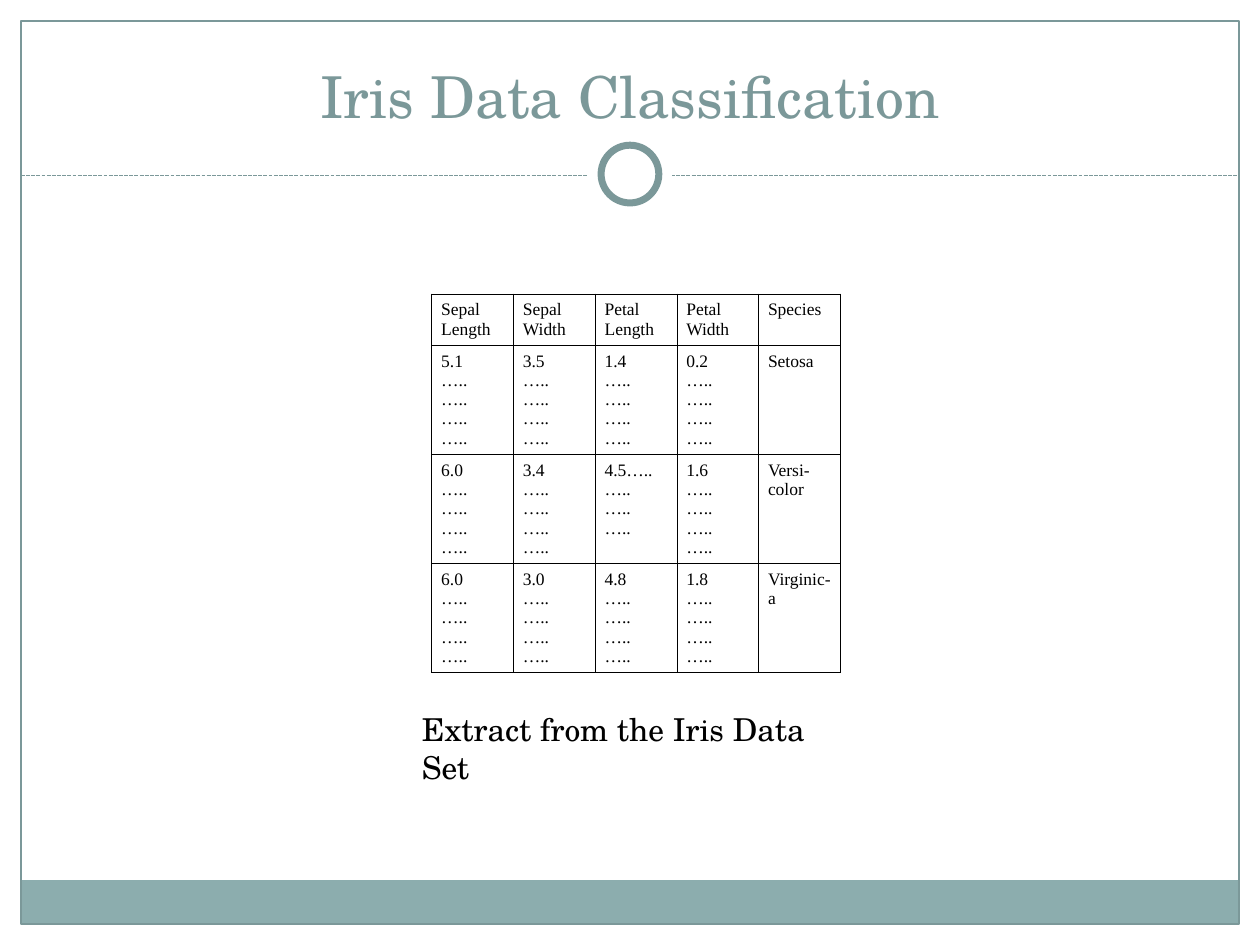
from typing import NamedTuple, Optional

from lxml import etree
from pptx import Presentation
from pptx import util as u
from pptx.dml.color import RGBColor
from pptx.enum import dml, shapes, text
from pptx.oxml import ns

Pt = u.Pt
TEAL, BAND, WHITE, BLACK = "7B9899", "8CADAE", "FFFFFF", "000000"
SERIF, TABLE_FONT = "TeX Gyre Schola", "Times New Roman"
RECT, OVAL = shapes.MSO_SHAPE.RECTANGLE, shapes.MSO_SHAPE.OVAL
DOTS = "….."


class Box(NamedTuple):
    left: float
    top: float
    width: float
    height: float

    def lengths(self):
        return [Pt(v) for v in self]


class Panel(NamedTuple):
    kind: int
    box: Box
    fill: Optional[str] = None
    line: Optional[str] = None
    weight: float = 0.75


class Label(NamedTuple):
    words: str
    box: Box
    size: float
    color: str
    align: int
    anchor: int


def rgb(value: str) -> RGBColor:
    return RGBColor.from_string(value)


def add_panel(s, panel: Panel) -> None:
    sp = s.shapes.add_shape(panel.kind, *panel.box.lengths())
    sp.shadow.inherit = False
    if panel.fill:
        sp.fill.solid()
        sp.fill.fore_color.rgb = rgb(panel.fill)
    else:
        sp.fill.background()
    if panel.line:
        sp.line.color.rgb = rgb(panel.line)
        sp.line.width = Pt(panel.weight)
    else:
        sp.line.fill.background()


def add_divider(s, x1: float, x2: float, y: float) -> None:
    line = s.shapes.add_connector(
        shapes.MSO_CONNECTOR.STRAIGHT, Pt(x1), Pt(y), Pt(x2), Pt(y))
    line.line.color.rgb = rgb(TEAL)
    line.line.width = Pt(0.75)
    line.line.dash_style = dml.MSO_LINE.SQUARE_DOT
    # sysDash has no direct equivalent in the public enumeration names
    line._element.spPr.find(".//" + ns.qn("a:prstDash")).set("val", "sysDash")
    etree.SubElement(line._element.spPr, ns.qn("a:effectLst"))


def add_run(p, words: str, font: str, size: float, color: str) -> None:
    r = p.add_run()
    r.text = words
    r.font.name = font
    r.font.size = Pt(size)
    r.font.color.rgb = rgb(color)


def add_label(s, label: Label) -> None:
    tf = s.shapes.add_textbox(*label.box.lengths()).text_frame
    tf.word_wrap = True
    tf.vertical_anchor = label.anchor
    p = tf.paragraphs[0]
    p.alignment = label.align
    add_run(p, label.words, SERIF, label.size, label.color)


def style_cell(cell) -> None:
    tc_pr = cell._tc.get_or_add_tcPr()
    for side in ("lnL", "lnR", "lnT", "lnB"):
        ln = etree.SubElement(tc_pr, ns.qn("a:" + side), w=str(Pt(0.45)))
        fill = etree.SubElement(ln, ns.qn("a:solidFill"))
        etree.SubElement(fill, ns.qn("a:srgbClr"), val=BLACK)
    cell.fill.background()
    cell.margin_left = cell.margin_right = Pt(5.4)
    cell.margin_top = cell.margin_bottom = Pt(3.6)


def fill_cell(cell, lines: list[str]) -> None:
    style_cell(cell)
    tf = cell.text_frame
    for i, words in enumerate(lines):
        p = tf.add_paragraph() if i else tf.paragraphs[0]
        p.alignment = text.PP_ALIGN.JUSTIFY
        add_run(p, words, TABLE_FONT, 10, BLACK)


def add_grid(s, box: Box, rows: list[list[list[str]]],
             heights: list[float]) -> None:
    table = s.shapes.add_table(
        len(rows), len(rows[0]), *box.lengths()).table
    table.first_row = table.horz_banding = False
    for column in table.columns:
        column.width = Pt(box.width / len(rows[0]))
    for row, height, cells in zip(table.rows, heights, rows):
        row.height = Pt(height)
        for cell, lines in zip(row.cells, cells):
            fill_cell(cell, lines)


def sample(value: str) -> list[str]:
    """A measurement followed by dotted lines; a joined one takes one less."""
    return [value] + [DOTS] * (3 if value.endswith(DOTS) else 4)


# Frame, footer band and ring
PANELS = [
    Panel(RECT, Box(0, 0, 720, 109.5), fill=WHITE),
    Panel(RECT, Box(0, 0, 12, 540), fill=WHITE),
    Panel(RECT, Box(708, 0, 12, 540), fill=WHITE),
    Panel(RECT, Box(12, 503, 696, 25), fill=BAND),
    Panel(RECT, Box(12, 12, 696, 516), line=TEAL),
]
RING = [
    Panel(OVAL, Box(336, 75.5, 48, 48), fill=WHITE),
    Panel(OVAL, Box(343.5, 83, 33, 33), fill=WHITE, line=TEAL, weight=4),
]

# Title and caption
LABELS = [
    Label("Iris Data Classification", Box(24, 18, 672, 60), 33, TEAL,
          text.PP_ALIGN.CENTER, text.MSO_ANCHOR.BOTTOM),
    Label("Extract from the Iris Data Set", Box(234, 402, 263.5, 29), 18,
          BLACK, text.PP_ALIGN.LEFT, text.MSO_ANCHOR.TOP),
]

# Table content
HEADER = [["Sepal Length"], ["Sepal Width"], ["Petal Length"],
          ["Petal", "Width"], ["Species"]]
SAMPLES = [
    (["5.1", "3.5", "1.4", "0.2"], "Setosa"),
    (["6.0", "3.4", "4.5" + DOTS, "1.6"], "Versi-color"),
    (["6.0", "3.0", "4.8", "1.8"], "Virginic-a"),
]


def main() -> None:
    prs = Presentation()
    prs.slide_width, prs.slide_height = Pt(720), Pt(540)
    s = prs.slides.add_slide(prs.slide_layouts[6])

    for panel in PANELS:
        add_panel(s, panel)
    add_divider(s, 12, 708, 100.5)
    for panel in RING:
        add_panel(s, panel)

    rows = [HEADER] + [[sample(v) for v in values] + [[species]]
                       for values, species in SAMPLES]
    add_grid(s, Box(246.75, 168, 233.5, 204), rows, [24, 60, 60, 60])
    for label in LABELS:
        add_label(s, label)
    prs.save("out.pptx")


if __name__ == "__main__":
    main()
